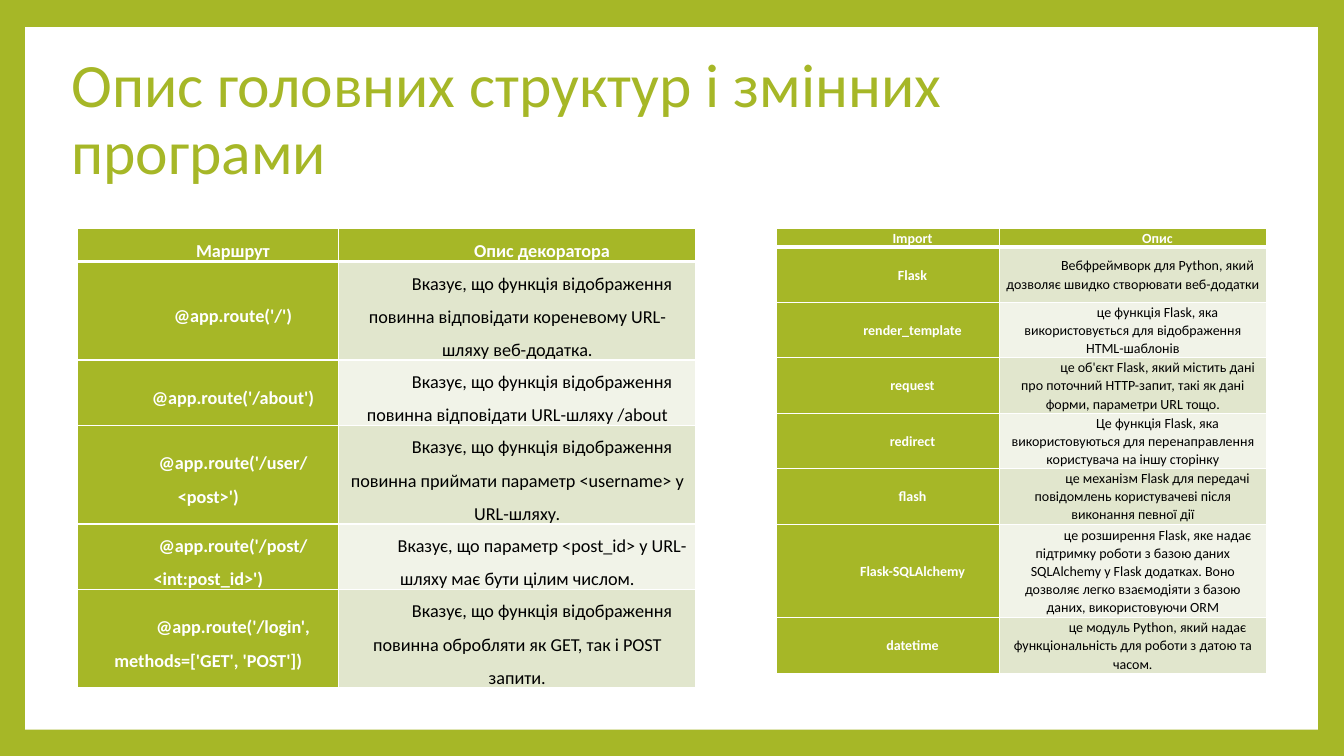
from lxml import etree
from pptx import Presentation
from pptx import util as u
from pptx.dml.color import RGBColor
from pptx.enum import shapes, text
from pptx.oxml.ns import qn

PX = 9144  # EMU per px, 100 px to the inch
FONT = "Calibri"
COLORS = {
    "green": "A6B727",
    "white": "FFFFFF",
    "black": "000000",
    "band_dark": "E1E6CD",
    "band_light": "F1F3E8",
}

ROUTES = [
    ("Маршрут", "Опис декоратора"),
    ("@app.route('/')",
     "Вказує, що функція відображення повинна відповідати кореневому URL-шляху веб-додатка."),
    ("@app.route('/about')",
     "Вказує, що функція відображення повинна відповідати URL-шляху /about"),
    ("@app.route('/user/<post>')",
     "Вказує, що функція відображення повинна приймати параметр <username> у URL-шляху."),
    ("@app.route('/post/<int:post_id>')",
     "Вказує, що параметр <post_id> у URL-шляху має бути цілим числом."),
    ("@app.route('/login', methods=['GET', 'POST'])",
     "Вказує, що функція відображення повинна обробляти як GET, так і POST запити."),
]
IMPORTS = [
    ("Import", "Опис"),
    ("Flask", "Вебфреймворк для Python, який дозволяє швидко створювати веб-додатки"),
    ("render_template", "це функція Flask, яка використовується для відображення HTML-шаблонів"),
    ("request",
     "це об'єкт Flask, який містить дані про поточний HTTP-запит, "
     "такі як дані форми, параметри URL тощо."),
    ("redirect",
     "Це функція Flask, яка використовуються для перенаправлення користувача на іншу сторінку"),
    ("flash", "це механізм Flask для передачі повідомлень користувачеві після виконання певної дії"),
    ("Flask-SQLAlchemy",
     "це розширення Flask, яке надає підтримку роботи з базою даних SQLAlchemy у Flask додатках. "
     "Воно дозволяє легко взаємодіяти з базою даних, використовуючи ORM"),
    ("datetime", "це модуль Python, який надає функціональність для роботи з датою та часом."),
]


def px(*lengths):
    return [u.Emu(length * PX) for length in lengths]


def paint(fill, color):
    fill.solid()
    fill.fore_color.rgb = RGBColor.from_string(COLORS[color])


def style_text(para, size, color, spacing, bold=False):
    para.line_spacing = spacing
    for span in para.runs:
        span.font.name = FONT
        span.font.size = u.Pt(size)
        span.font.bold = bold
        span.font.color.rgb = RGBColor.from_string(COLORS[color])


def add_panel(page, *bounds):
    panel = page.shapes.add_shape(shapes.MSO_SHAPE.RECTANGLE, *px(*bounds))
    panel.shadow.inherit = False
    paint(panel.fill, "white")
    panel.line.fill.background()


def add_title(page, wording, *bounds):
    box = page.shapes.add_textbox(*px(*bounds))
    frame = box.text_frame
    frame.word_wrap = True
    frame.vertical_anchor = text.MSO_ANCHOR.MIDDLE
    frame.text = wording
    style_text(frame.paragraphs[0], 44, "green", 0.9)


def set_borders(cell, widths):
    """Draw white borders; widths maps the sides L, R, T, B to points."""
    properties = cell._tc.get_or_add_tcPr()
    for position, (side, width) in enumerate(widths.items()):
        line = etree.Element(qn(f"a:ln{side}"), w=str(u.Pt(width)))
        fill = etree.SubElement(line, qn("a:solidFill"))
        etree.SubElement(fill, qn("a:srgbClr"), val=COLORS["white"])
        properties.insert(position, line)


def fill_cell(cell, wording, row, column, size, spacing, inset):
    is_heading = row == 0 or column == 0
    band = "band_dark" if row % 2 else "band_light"
    paint(cell.fill, "green" if is_heading else band)
    cell.vertical_anchor = text.MSO_ANCHOR.MIDDLE
    cell.margin_left, cell.margin_right = px(inset, inset)
    cell.margin_top = cell.margin_bottom = 0
    cell.text = wording
    para = cell.text_frame.paragraphs[0]
    para.alignment = text.PP_ALIGN.CENTER
    indent = para._p.get_or_add_pPr()
    indent.set("marL", "0")
    indent.set("indent", str(49 * PX))
    style_text(para, size, "white" if is_heading else "black", spacing, is_heading)
    set_borders(cell, {"L": 1, "R": 1,
                       "T": 3 if row == 1 else 1,
                       "B": 3 if row == 0 else 1})


def add_grid(page, entries, left, top, widths, heights, **cell_style):
    frame = page.shapes.add_table(
        len(entries), len(widths), *px(left, top, sum(widths), sum(heights)))
    grid = frame.table
    for column, width in zip(grid.columns, px(*widths)):
        column.width = width
    for row, height in zip(grid.rows, px(*heights)):
        row.height = height
    for row, entry in enumerate(entries):
        for column, wording in enumerate(entry):
            fill_cell(grid.cell(row, column), wording, row, column, **cell_style)


def main():
    deck = Presentation()
    deck.slide_width, deck.slide_height = px(1333, 750)
    page = deck.slides.add_slide(deck.slide_layouts[6])
    paint(page.background.fill, "green")
    add_panel(page, 25, 27, 1282, 697)
    add_title(page, "Опис головних структур і змінних програми", 61, 46, 1080, 148)
    add_grid(page, ROUTES, 77, 227, [259, 354], [30, 96, 63, 96, 63, 96],
             size=13, spacing=1.5, inset=7)
    add_grid(page, IMPORTS, 770, 227, [221, 265], [18] + [55] * 5 + [93, 55],
             size=10, spacing=1.07, inset=6)
    deck.save("out.pptx")


if __name__ == "__main__":
    main()
